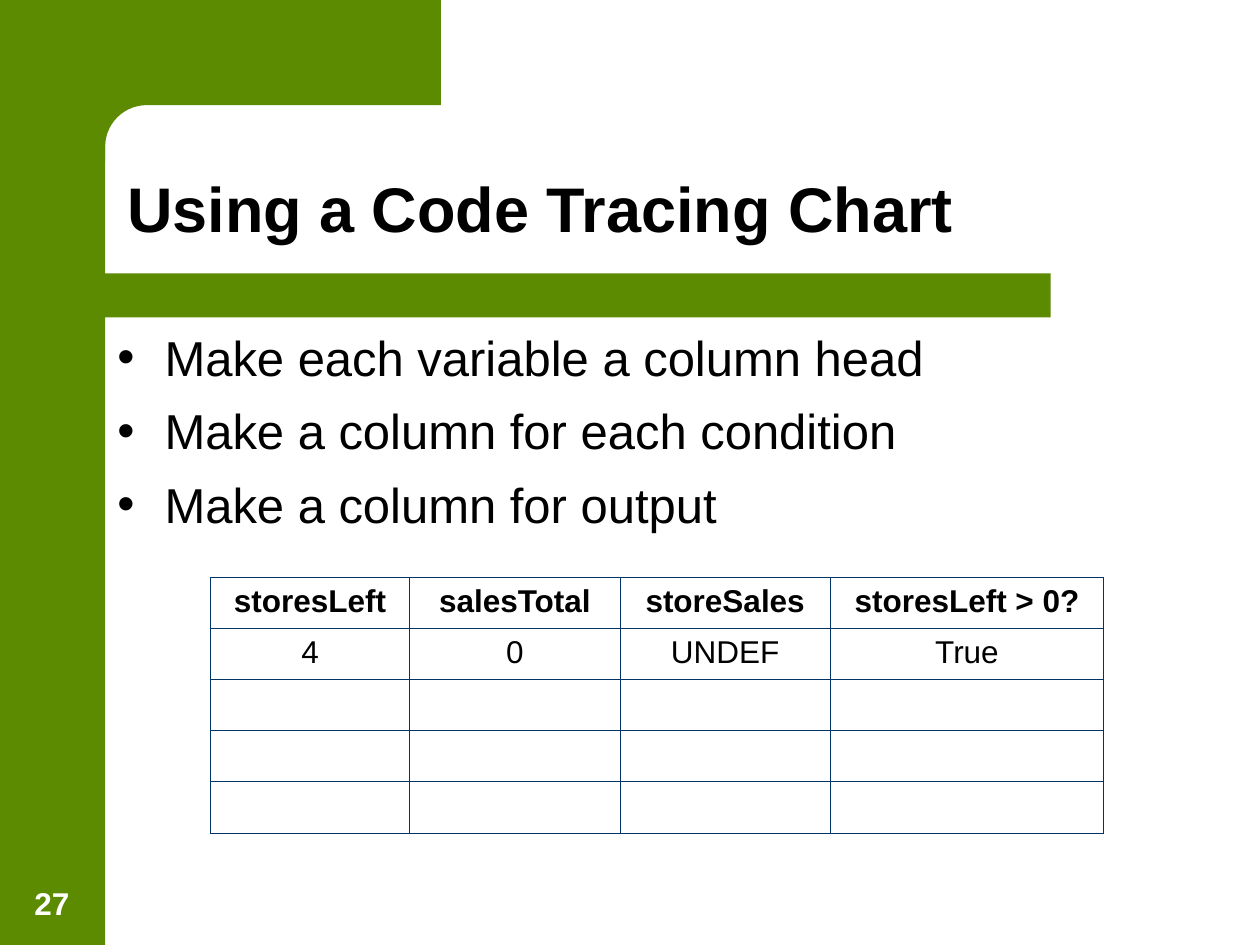
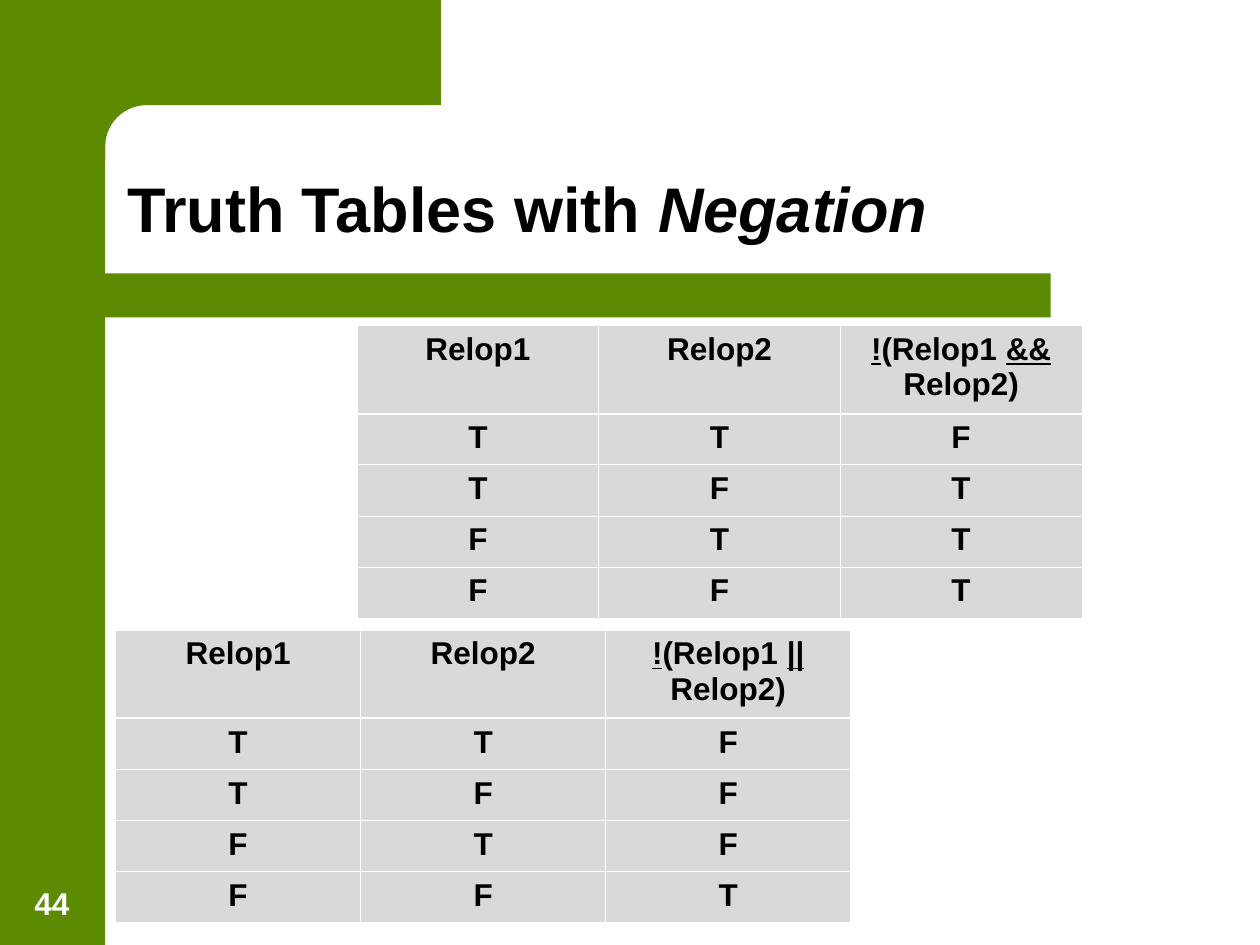
from math import cos, pi, sin

from lxml import etree
from pptx import Presentation
from pptx.dml.color import RGBColor
from pptx.enum.shapes import MSO_SHAPE
from pptx.enum.text import MSO_ANCHOR, MSO_AUTO_SIZE, PP_ALIGN
from pptx.oxml.ns import qn
from pptx.util import Cm, Pt

RECTANGLE = MSO_SHAPE.RECTANGLE
TOP, BOTTOM = MSO_ANCHOR.TOP, MSO_ANCHOR.BOTTOM
LEFT, CENTER = PP_ALIGN.LEFT, PP_ALIGN.CENTER
NO_AUTOFIT = MSO_AUTO_SIZE.NONE

TITLE_AND_BODY, TITLE_ONLY = 1, 5
FONT = "Arial"
COLORS = {
    "green": "5C8A00",
    "black": "000000",
    "white": "FFFFFF",
    "navy": "003366",
    "gray": "D9D9D9",
}
THIN, THICK = 0.45, 1.47  # border widths in points
ROW_HEIGHT = 1.03


def rgb(name):
    return RGBColor.from_string(COLORS[name])


def write(paragraph, text, size=18, color="black", bold=False, italic=False,
          underline=False, align=LEFT):
    """Add text to a paragraph; text is a string or a list of (string, format)."""
    paragraph.alignment = align
    pieces = [(text, {})] if isinstance(text, str) else text
    for words, changes in pieces:
        style = {"bold": bold, "italic": italic, "underline": underline, **changes}
        run = paragraph.add_run()
        run.text = words
        font = run.font
        font.name, font.size = FONT, Pt(size)
        font.color.rgb = rgb(color)
        font.bold = style["bold"]
        font.italic = style["italic"]
        font.underline = style["underline"]


def set_border(cell, side, color, width):
    line = etree.SubElement(cell._tc.get_or_add_tcPr(), qn(f"a:ln{side}"),
                            w=str(Pt(width)))
    fill = etree.SubElement(line, qn("a:solidFill"))
    etree.SubElement(fill, qn("a:srgbClr"), val=COLORS[color])


class Deck:
    def __init__(self):
        self.presentation = Presentation()
        self.presentation.slide_width = Cm(25.4)
        self.presentation.slide_height = Cm(19.05)
        self.slide = None

    def new_slide(self, layout, title, number):
        layouts = self.presentation.slide_layouts
        self.slide = self.presentation.slides.add_slide(layouts[layout])
        self.frame()
        self.title(title)
        self.number(number)

    def place(self, shape, left, top, width, height, anchor):
        shape.left, shape.top = Cm(left), Cm(top)
        shape.width, shape.height = Cm(width), Cm(height)
        text_frame = shape.text_frame
        text_frame.word_wrap = True
        text_frame.auto_size = NO_AUTOFIT
        text_frame.vertical_anchor = anchor
        return text_frame

    def paint(self, shape):
        shape.shadow.inherit = False
        shape.fill.solid()
        shape.fill.fore_color.rgb = rgb("green")
        shape.line.fill.background()

    def band(self, left, top, width, height):
        self.paint(self.slide.shapes.add_shape(
            RECTANGLE, Cm(left), Cm(top), Cm(width), Cm(height)))

    def frame(self):
        """Side band, top corner with a rounded inner edge, and title rule."""
        self.band(0, 0, 2.12, 19.05)
        self.band(1.7, 5.51, 19.48, 0.89)
        inner, radius, steps = 2.12, 0.84, 16
        center = inner + radius
        angles = [pi / 2 * step / steps for step in range(steps + 1)]
        arc = [(center - radius * sin(a), center - radius * cos(a)) for a in angles]
        outline = [(8.89, inner), *arc, (inner, 3.25), (1.27, 3.25), (1.27, 0)]
        corner = self.slide.shapes.build_freeform(Cm(8.89), Cm(0))
        corner.add_line_segments([(Cm(x), Cm(y)) for x, y in outline], close=True)
        self.paint(corner.convert_to_shape())

    def title(self, text):
        heading = self.place(self.slide.shapes.title, 2.31, 2.31, 21.62, 2.77, BOTTOM)
        heading.paragraphs[0].line_spacing = 0.9
        write(heading.paragraphs[0], text, size=36, bold=True)

    def number(self, value):
        box = self.slide.shapes.add_textbox(0, 0, 0, 0)
        corner_number = self.place(box, 0.23, 17.35, 1.63, 1.35, BOTTOM)
        write(corner_number.paragraphs[0], str(value), color="white", bold=True,
              align=CENTER)

    def bullets(self, points):
        body = self.place(self.slide.placeholders[1], 2.11, 6.35, 21.36, 4.88, TOP)
        body.margin_top = Cm(0.25)
        for index, point in enumerate(points):
            paragraph = body.add_paragraph() if index else body.paragraphs[0]
            paragraph.space_before = Pt(8.4 if index else 0)
            write(paragraph, point, size=28)

    def table(self, rows, left, top, widths, header_height=ROW_HEIGHT,
              border="navy", header_rule=THIN, fill=None, bold_body=False):
        heights = [header_height] + [ROW_HEIGHT] * (len(rows) - 1)
        grid = self.slide.shapes.add_table(
            len(rows), len(widths), Cm(left), Cm(top),
            Cm(sum(widths)), Cm(sum(heights))).table
        grid.first_row = grid.horz_banding = False
        for column, width in zip(grid.columns, widths):
            column.width = Cm(width)
        for r, (values, height) in enumerate(zip(rows, heights)):
            grid.rows[r].height = Cm(height)
            rules = {"L": THIN, "R": THIN,
                     "T": header_rule if r == 1 else THIN,
                     "B": header_rule if r == 0 else THIN}
            for c, value in enumerate(values):
                cell = grid.cell(r, c)
                for side, width in rules.items():
                    set_border(cell, side, border, width)
                if fill:
                    cell.fill.solid()
                    cell.fill.fore_color.rgb = rgb(fill)
                else:
                    cell.fill.background()
                if value:
                    write(cell.text_frame.paragraphs[0], value,
                          bold=bold_body or r == 0, align=CENTER)

    def truth_table(self, condition, results, left, top, column_width):
        inputs = [(first, second) for first in "TF" for second in "TF"]
        rows = [("Relop1", "Relop2", condition)]
        rows += [(*pair, result) for pair, result in zip(inputs, results)]
        self.table(rows, left, top, [column_width] * 3, header_height=1.78,
                   border="white", header_rule=THICK, fill="gray", bold_body=True)


def main():
    deck = Deck()

    # Code tracing chart
    deck.new_slide(TITLE_AND_BODY, "Using a Code Tracing Chart", 27)
    deck.bullets([
        "Make each variable a column head",
        "Make a column for each condition",
        "Make a column for output",
    ])
    trace = [
        ("storesLeft", "salesTotal", "storeSales", "storesLeft > 0?"),
        ("4", "0", "UNDEF", "True"),
    ]
    trace += [("",) * 4] * 3
    deck.table(trace, 4.24, 11.64, [4.02, 4.24, 4.24, 5.51])

    # Negated truth tables
    deck.new_slide(TITLE_ONLY,
                   [("Truth Tables with ", {}), ("Negation", {"italic": True})], 44)
    operator = {"underline": True}
    not_and = [("!", operator), ("(Relop1 ", {}), ("&&", operator), (" Relop2)", {})]
    not_or = [("!", operator), ("(Relop1 ", {}), ("|| ", operator), ("Relop2)", {})]
    deck.truth_table(not_and, "FTTT", 7.2, 6.56, 4.87)
    deck.truth_table(not_or, "FFFT", 2.33, 12.7, 4.94)

    deck.presentation.save("out.pptx")


if __name__ == "__main__":
    main()
